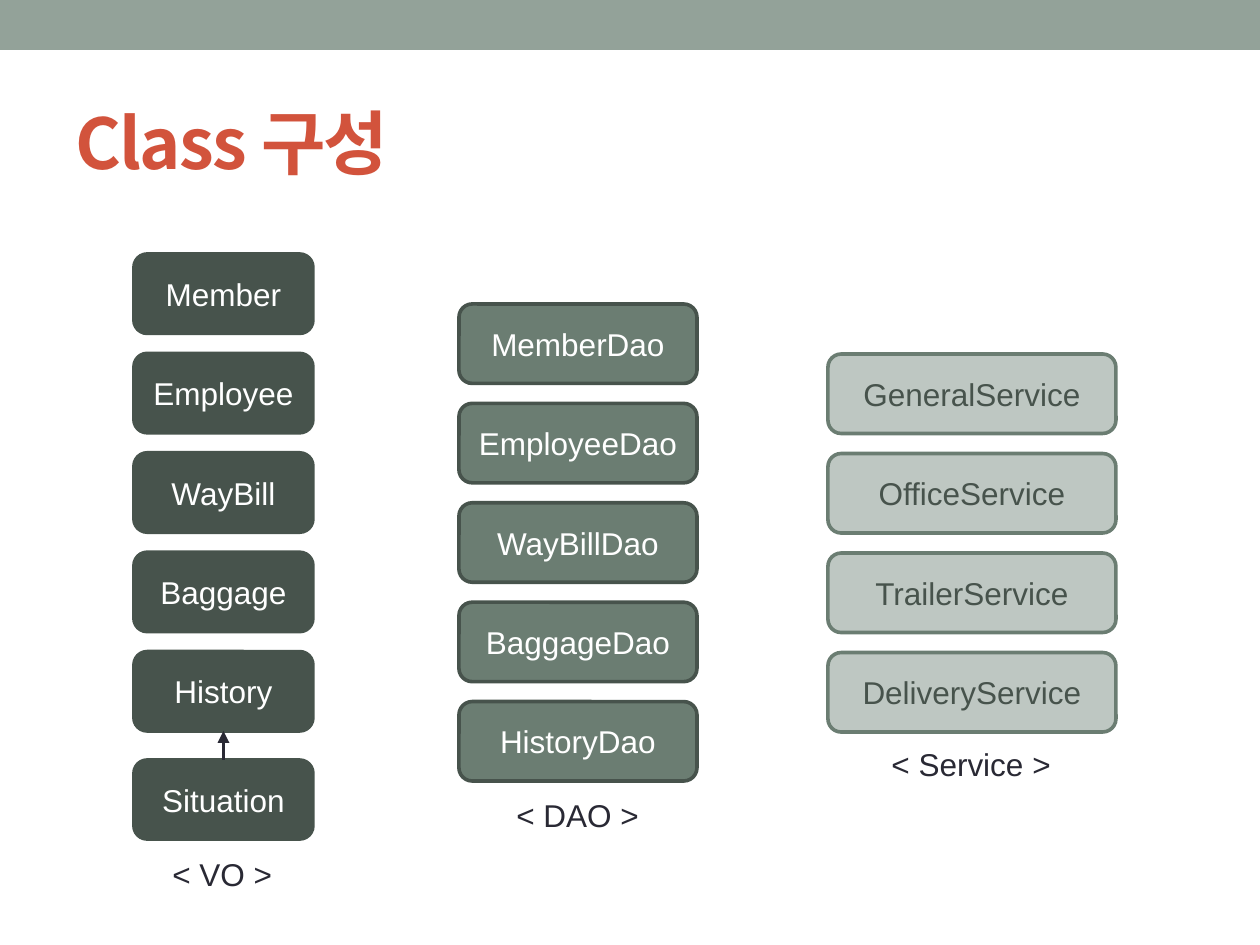
import pptx
import pptx.util
import pptx.dml.color
import pptx.enum.shapes
import pptx.enum.text
import pptx.oxml
import pptx.oxml.ns

PIXEL = pptx.util.Inches(1) / 126
BOX_GAP = 20
DARK, MEDIUM, LIGHT = "47534C", "6B7D72", "BEC7C2"
INK, WHITE = "292934", "FFFFFF"
SHAPES = pptx.enum.shapes.MSO_SHAPE
ALIGN = pptx.enum.text.PP_ALIGN
ANCHOR = pptx.enum.text.MSO_ANCHOR


def px(*lengths):
    return [round(length * PIXEL) for length in lengths]


def color(value):
    return pptx.dml.color.RGBColor.from_string(value)


def write(frame, text, size, font, text_color, align):
    frame.text = text
    para = frame.paragraphs[0]
    para.alignment = align
    span = para.runs[0]
    span.font.size = pptx.util.Pt(size)
    span.font.name = font
    span.font.color.rgb = color(text_color)
    return span


def add_bar(page, left, top, width, height):
    bar = page.shapes.add_shape(SHAPES.RECTANGLE, *px(left, top, width, height))
    bar.shadow.inherit = False
    bar.fill.solid()
    bar.fill.fore_color.rgb = color("93A299")
    bar.line.fill.background()


def add_title(page, left, top, width, height):
    title = page.shapes.title
    title.left, title.top, title.width, title.height = px(left, top, width, height)
    font = "Noto Sans CJK KR"
    span = write(title.text_frame, "Class 구성", 40, font, "D2533C", ALIGN.LEFT)
    title.text_frame.vertical_anchor = ANCHOR.MIDDLE
    span.font.bold = True
    # Korean typeface and letter spacing
    properties = span.font._element
    properties.set("spc", "-100")
    east_asian = pptx.oxml.parse_xml(
        f'<a:ea {pptx.oxml.ns.nsdecls("a")} typeface="{font}"/>')
    properties.find(pptx.oxml.ns.qn("a:latin")).addnext(east_asian)


def add_class_box(page, left, top, width, height, name, style):
    fill, line, text_color = style
    box = page.shapes.add_shape(
        SHAPES.ROUNDED_RECTANGLE, *px(left, top, width, height))
    box.shadow.inherit = False
    box.fill.solid()
    box.fill.fore_color.rgb = color(fill)
    box.line.color.rgb = color(line)
    box.line.width = pptx.util.Pt(2.08)
    frame = box.text_frame
    frame.word_wrap = False
    frame.vertical_anchor = ANCHOR.MIDDLE
    write(frame, name, 18, "Arial", text_color, ALIGN.CENTER)
    return box


def add_column(page, left, top, width, height, names, style):
    box_height = (height - BOX_GAP * (len(names) - 1)) / len(names)
    return [add_class_box(page, left, top + index * (box_height + BOX_GAP),
                          width, box_height, name, style)
            for index, name in enumerate(names)]


def add_caption(page, left, top, width, height, text):
    caption = page.shapes.add_textbox(*px(left, top, width, height))
    caption.text_frame.word_wrap = False
    write(caption.text_frame, text, 18, "Arial", INK, ALIGN.LEFT)


def add_arrow(page, source, target):
    arrow = page.shapes.add_connector(
        pptx.enum.shapes.MSO_CONNECTOR.STRAIGHT, 0, 0, 0, 0)
    # Connection sites: 0 is the top, 2 is the bottom
    arrow.begin_connect(source, 0)
    arrow.end_connect(target, 2)
    arrow.line.color.rgb = color(INK)
    arrow.line.width = pptx.util.Pt(2.25)
    namespace = pptx.oxml.ns.nsdecls("a")
    arrow.line._get_or_add_ln().append(
        pptx.oxml.parse_xml(f'<a:tailEnd {namespace} type="triangle"/>'))
    arrow._element.spPr.append(pptx.oxml.parse_xml(f"<a:effectLst {namespace}/>"))


deck = pptx.Presentation()
deck.slide_width, deck.slide_height = px(1260, 945)
page = deck.slides.add_slide(deck.slide_layouts[5])

# Header
add_bar(page, 0, 0, 1260, 50)
add_title(page, 63, 73, 1134, 136)

# Value objects, with Situation extending History
vo_style = (DARK, DARK, WHITE)
value_objects = add_column(
    page, 134, 254, 179, 477,
    ["Member", "Employee", "WayBill", "Baggage", "History"], vo_style)
situation = add_class_box(page, 134, 760, 179, 79, "Situation", vo_style)
add_arrow(page, situation, value_objects[-1])

# Data access objects and services
add_column(page, 459, 304, 238, 477,
           ["MemberDao", "EmployeeDao", "WayBillDao", "BaggageDao", "HistoryDao"],
           (MEDIUM, DARK, WHITE))
add_column(page, 828, 354, 288, 378,
           ["GeneralService", "OfficeService", "TrailerService", "DeliveryService"],
           (LIGHT, MEDIUM, DARK))

# Captions
add_caption(page, 160, 849, 126, 50, "< VO >")
add_caption(page, 504, 790, 151, 50, "< DAO >")
add_caption(page, 879, 739, 193, 50, "< Service >")

deck.save("out.pptx")
